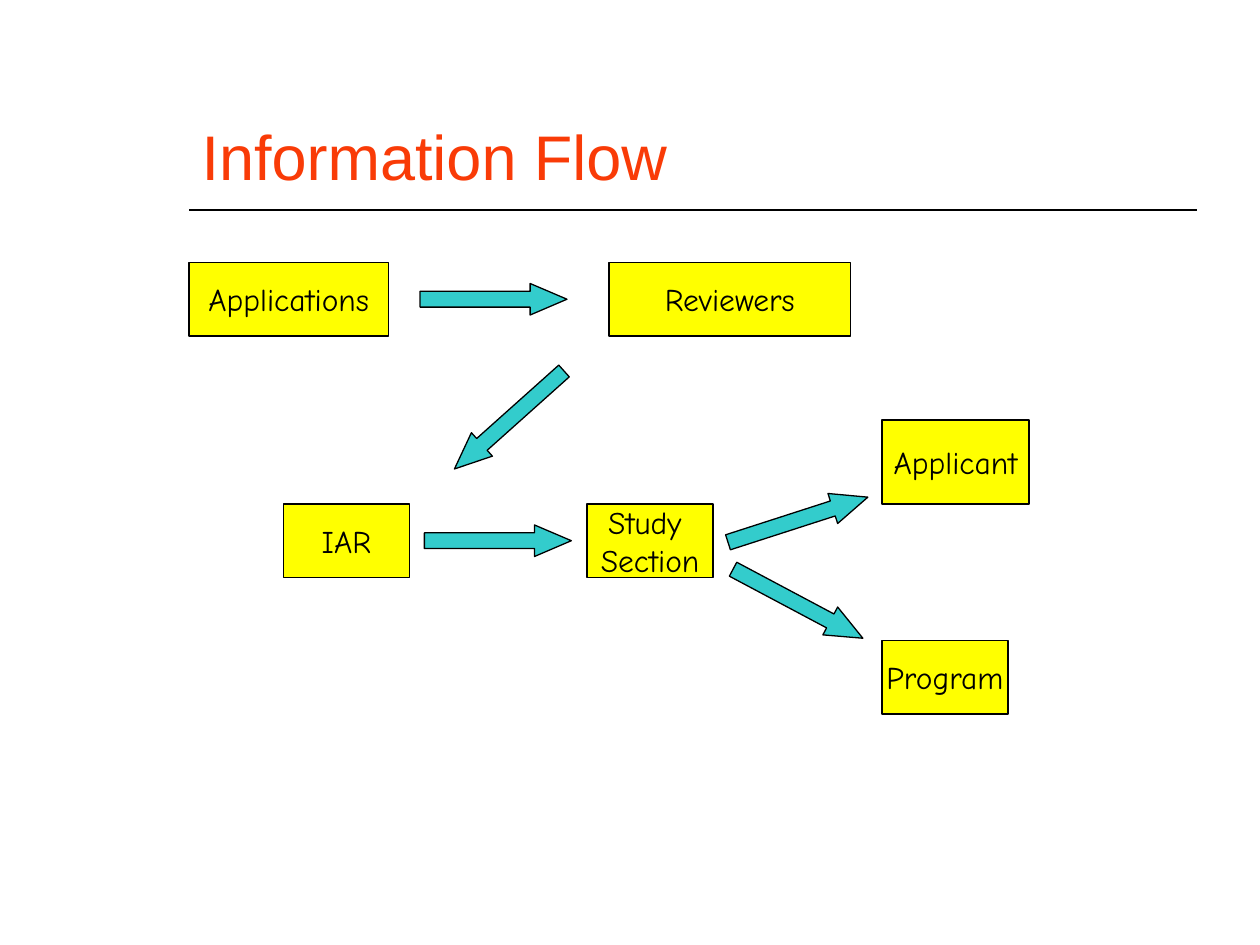
from pptx import Presentation
from pptx.dml.color import RGBColor
from pptx.enum.shapes import MSO_CONNECTOR as Connector, MSO_SHAPE as Shape
from pptx.enum.text import MSO_ANCHOR as Anchor, PP_ALIGN as Align
from pptx.oxml.ns import qn
from pptx.util import Pt
from lxml import etree

COLORS = {"title": "F93B07", "box": "FFFF00", "arrow": "33CCCC", "ink": "000000"}
TITLE_FONT, BOX_FONT = "Arial", "Comic Neue"
BOX_HEIGHT = 42
ARROW_WIDTH, ARROW_HEIGHT = 84, 18

# lines of text, left, top, width, height
BOXES = [
    (["Applications"], 108, 150, 114, BOX_HEIGHT),
    (["Reviewers"], 348, 150, 138, BOX_HEIGHT),
    (["IAR"], 162, 288, 72, BOX_HEIGHT),
    (["Study ", "Section"], 335.5, 288, 72, BOX_HEIGHT),
    (["Applicant"], 504, 240, 84, 48),
    (["Program"], 504, 366, 72, BOX_HEIGHT),
]

# left, top, rotation in degrees
ARROWS = [
    (240, 162, 0),
    (249, 231, 138.2),
    (242.5, 300, 0),
    (414, 288, 342.1),
    (414, 336, 28),
]


def color(name):
    return RGBColor.from_string(COLORS[name])


class FlowPage:
    """Holds the slide and the shared style of its elements."""

    def __init__(self, page):
        self.page = page

    def add_span(self, para, text, font, size, ink):
        span = para.add_run()
        span.text = text
        span.font.name = font
        span.font.size = Pt(size)
        span.font.color.rgb = color(ink)

    def title(self, text, left, top, width, height):
        title = self.page.shapes.title
        title.left, title.top = Pt(left), Pt(top)
        title.width, title.height = Pt(width), Pt(height)
        frame = title.text_frame
        frame.vertical_anchor = Anchor.BOTTOM
        para = frame.paragraphs[0]
        para.alignment = Align.LEFT
        self.add_span(para, text, TITLE_FONT, 36, "title")

    def rule(self, left, top, right):
        line = self.page.shapes.add_connector(
            Connector.STRAIGHT, Pt(left), Pt(top), Pt(right), Pt(top))
        line.line.color.rgb = color("ink")
        line.line.width = Pt(1)
        etree.SubElement(line._element.spPr, qn("a:effectLst"))

    def shape(self, kind, left, top, width, height, fill):
        shape = self.page.shapes.add_shape(
            kind, Pt(left), Pt(top), Pt(width), Pt(height))
        shape.shadow.inherit = False
        shape.fill.solid()
        shape.fill.fore_color.rgb = color(fill)
        shape.line.color.rgb = color("ink")
        shape.line.width = Pt(0.75)
        return shape

    def box(self, lines, left, top, width, height):
        box = self.shape(Shape.RECTANGLE, left, top, width, height, "box")
        frame = box.text_frame
        frame.word_wrap = False
        frame.vertical_anchor = Anchor.MIDDLE
        for index, text in enumerate(lines):
            para = frame.add_paragraph() if index else frame.paragraphs[0]
            para.alignment = Align.CENTER
            self.add_span(para, text, BOX_FONT, 18, "ink")

    def arrow(self, left, top, rotation):
        arrow = self.shape(
            Shape.RIGHT_ARROW, left, top, ARROW_WIDTH, ARROW_HEIGHT, "arrow")
        arrow.adjustments[0] = 0.5
        arrow.adjustments[1] = 1.17
        arrow.rotation = rotation


def main():
    deck = Presentation()
    deck.slide_width, deck.slide_height = Pt(720), Pt(540)
    flow = FlowPage(deck.slides.add_slide(deck.slide_layouts[5]))
    flow.rule(108, 120, 684)
    flow.title("Information Flow", 108, 24, 576, 90)
    for box in BOXES:
        flow.box(*box)
    for arrow in ARROWS:
        flow.arrow(*arrow)
    deck.save("out.pptx")


if __name__ == "__main__":
    main()
